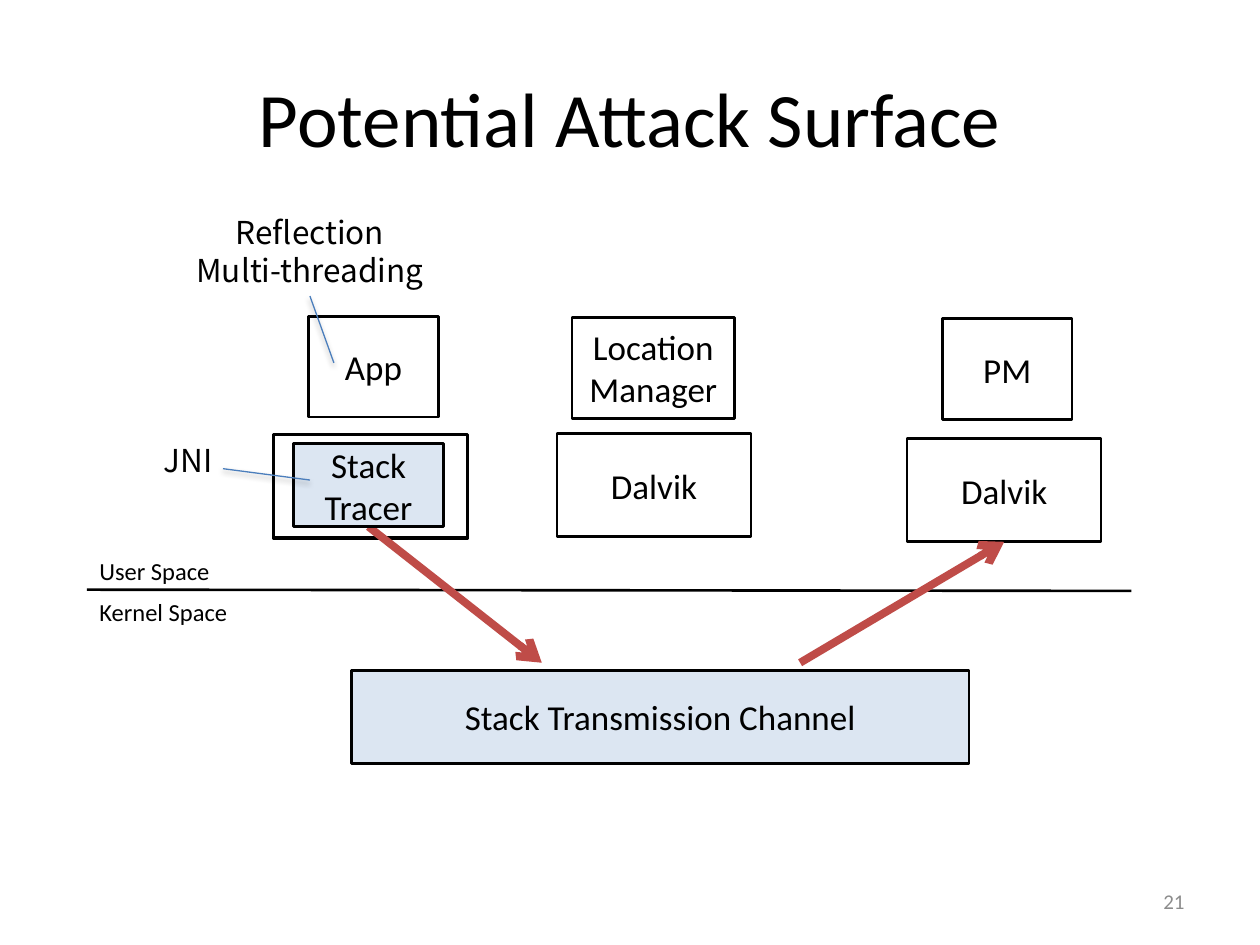
from dataclasses import dataclass

from lxml import etree
from pptx import Presentation
from pptx.dml.color import RGBColor
from pptx.enum import shapes, text
from pptx.oxml import ns
from pptx.util import Inches, Pt

COLORS = {
    "black": "000000",
    "white": "FFFFFF",
    "pale": "DCE6F2",
    "red": "BF4C48",
    "blue": "4B7EBC",
    "gray": "8C8C8C",
}
BODY_FONT = "Calibri"
NOTE_FONT = "Noto Sans CJK KR"
CENTER = text.PP_ALIGN.CENTER
LEFT = text.PP_ALIGN.LEFT
MIDDLE = text.MSO_ANCHOR.MIDDLE
TOP = text.MSO_ANCHOR.TOP


@dataclass
class Box:
    label: str
    left: float
    top: float
    width: float
    height: float
    fill: str = ""
    weight: float = 1.5


@dataclass
class Callout:
    label: str
    frame: tuple[float, float, float, float]
    start: tuple[float, float]
    end: tuple[float, float]


def rgb(name: str) -> RGBColor:
    return RGBColor.from_string(COLORS[name])


def set_text(sp, label: str, size: float, color: str = "black",
             font: str = BODY_FONT, align=CENTER, anchor=MIDDLE,
             inset: float = 0.1) -> None:
    tf = sp.text_frame
    tf.word_wrap = True
    tf.vertical_anchor = anchor
    tf.margin_left = tf.margin_right = Inches(0.1)
    tf.margin_top = tf.margin_bottom = Inches(inset)
    tf.text = label
    for p in tf.paragraphs:
        p.alignment = align
        for r in p.runs:
            r.font.size = Pt(size)
            r.font.name = font
            r.font.color.rgb = rgb(color)


def add_label(parent, label: str, frame: tuple, size: float, **style):
    sp = parent.add_textbox(*map(Inches, frame))
    set_text(sp, label, size, **style)
    return sp


def add_box(parent, box: Box):
    sp = parent.add_shape(shapes.MSO_SHAPE.RECTANGLE, Inches(box.left),
                          Inches(box.top), Inches(box.width), Inches(box.height))
    sp.shadow.inherit = False
    if box.fill:
        sp.fill.solid()
        sp.fill.fore_color.rgb = rgb(box.fill)
    else:
        sp.fill.background()
    sp.line.color.rgb = rgb("black")
    sp.line.width = Pt(box.weight)
    if box.label:
        set_text(sp, box.label, 20)
    return sp


def add_line(parent, start: tuple, end: tuple, color: str, weight: float,
             arrow: bool = False, shadow: bool = False):
    line = parent.add_connector(shapes.MSO_CONNECTOR.STRAIGHT,
                                *map(Inches, start + end))
    line.line.color.rgb = rgb(color)
    line.line.width = Pt(weight)
    if arrow:
        etree.SubElement(line.line._get_or_add_ln(), ns.qn("a:tailEnd"), type="arrow")
    effects = etree.SubElement(line._element.spPr, ns.qn("a:effectLst"))
    if shadow:
        outer = etree.SubElement(effects, ns.qn("a:outerShdw"),
                                 blurRad=str(Pt(3.1)), dist=str(Pt(1.8)),
                                 dir="5400000", rotWithShape="0")
        tint = etree.SubElement(outer, ns.qn("a:srgbClr"), val=COLORS["black"])
        etree.SubElement(tint, ns.qn("a:alpha"), val="35000")
    return line


def add_callout(parent, callout: Callout) -> None:
    group = parent.add_group_shape().shapes
    sp = add_label(group, callout.label, callout.frame, 18, font=NOTE_FONT,
                   anchor=TOP, inset=0.05)
    for p in sp.text_frame.paragraphs:
        p.line_spacing = Pt(21.6)
    add_line(group, callout.start, callout.end, "blue", 0.75, shadow=True)


def main() -> None:
    prs = Presentation()
    prs.slide_width, prs.slide_height = Inches(10), Inches(7.5)
    slide = prs.slides.add_slide(prs.slide_layouts[5])
    parts = slide.shapes

    # Title
    title = parts.title
    title.left, title.top = Inches(0.5), Inches(0.3)
    title.width, title.height = Inches(9), Inches(1.25)
    set_text(title, "Potential Attack Surface", 44, inset=0.05)

    # Border between user space and kernel space
    add_line(parts, (0.69, 4.68), (8.98, 4.69), "black", 1.5)
    for label, top in (("Kernel Space", 4.64), ("User Space", 4.31)):
        add_label(parts, label, (0.69, top, 1.31, 0.44), 14, align=LEFT, anchor=TOP)

    # Processes and their virtual machines
    for box in (
        Box("App", 2.45, 2.51, 1.03, 0.8),
        Box("Dalvik", 4.42, 3.44, 1.54, 0.82),
        Box("Location\vManager", 4.54, 2.52, 1.29, 0.8),
        Box("PM", 7.48, 2.53, 1.03, 0.8),
    ):
        add_box(parts, box)
    pm_dalvik = add_box(parts, Box("Dalvik", 7.2, 3.48, 1.54, 0.82))

    # Stack trace path through the kernel
    up_arrow = add_line(parts, (6.35, 5.26), (7.97, 4.3), "red", 4.5, arrow=True)
    up_arrow.end_connect(pm_dalvik, 2)
    add_box(parts, Box("Stack Transmission Channel", 2.79, 5.32, 4.9, 0.74, "pale"))
    add_box(parts, Box("", 2.17, 3.45, 1.54, 0.82, "white", 2))
    down_arrow = add_line(parts, (2.93, 4.19), (4.3, 5.26), "red", 4.5, arrow=True)
    tracer = add_box(parts, Box("Stack Tracer", 2.33, 3.52, 1.19, 0.66, "pale"))
    down_arrow.begin_connect(tracer, 2)

    # Attack callouts
    for callout in (
        Callout("JNI", (1.1, 3.45, 0.79, 0.4), (1.77, 3.72), (2.46, 3.81)),
        Callout("Reflection\nMulti-threading", (0.38, 1.64, 4.16, 0.71),
                (2.46, 2.35), (2.65, 2.88)),
    ):
        add_callout(parts, callout)

    # Slide number
    add_label(parts, "21", (7.17, 6.95, 2.33, 0.4), 12, color="gray",
              align=text.PP_ALIGN.RIGHT, inset=0.05)

    prs.save("out.pptx")


if __name__ == "__main__":
    main()
